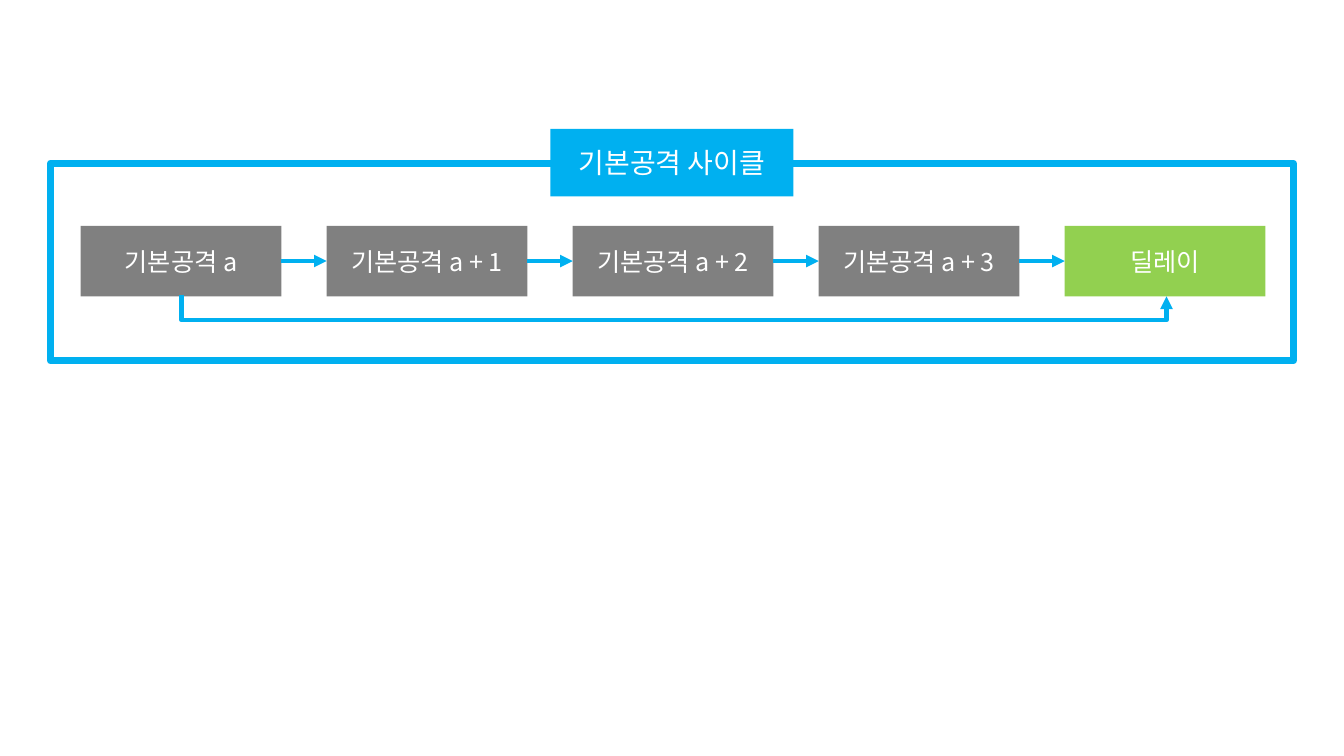
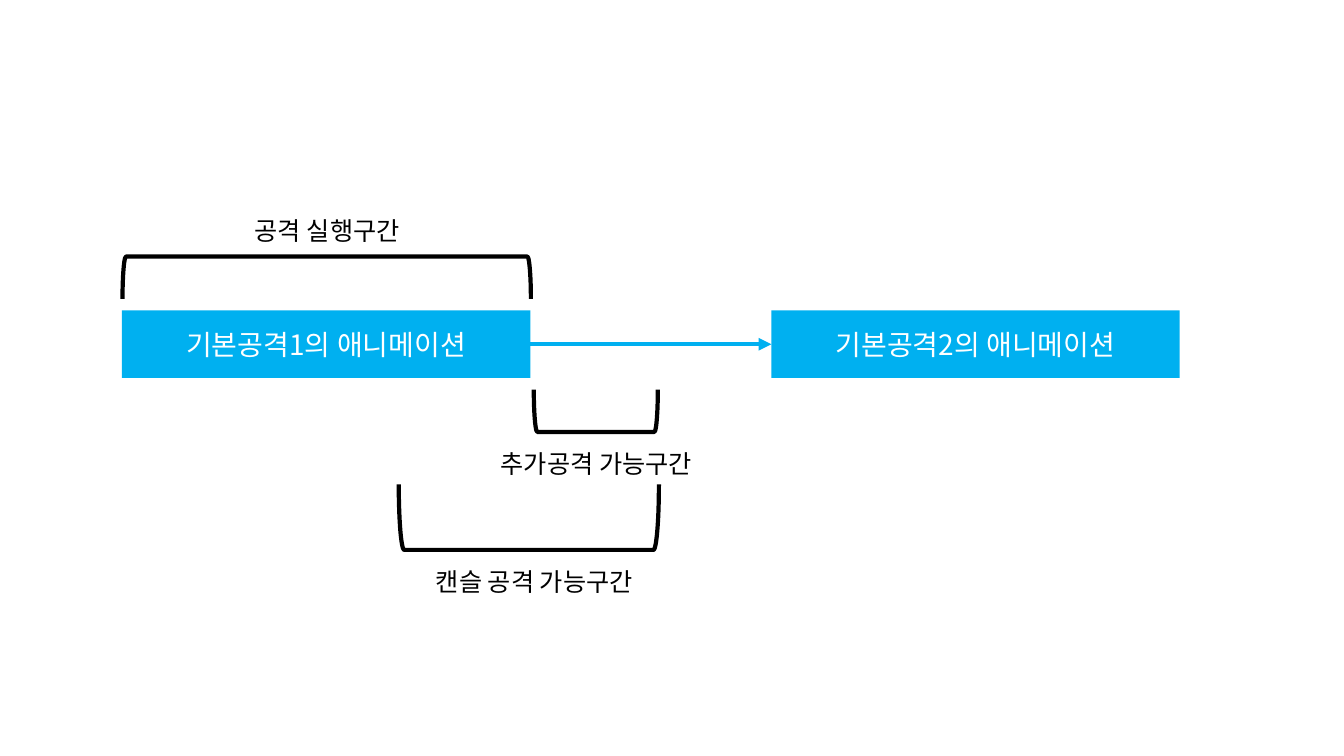
from lxml.etree import SubElement
from pptx import Presentation
from pptx.dml.color import RGBColor
from pptx.enum.shapes import MSO_CONNECTOR as CONNECTOR, MSO_SHAPE as SHAPE
from pptx.enum.text import MSO_ANCHOR as ANCHOR, MSO_AUTO_SIZE as AUTO_SIZE, PP_ALIGN as ALIGN
from pptx.oxml.ns import qn
from pptx.util import Inches, Pt

BLUE = RGBColor(0x00, 0xB0, 0xF0)
GRAY = RGBColor(0x80, 0x80, 0x80)
GREEN = RGBColor(0x92, 0xD0, 0x50)
BLACK = RGBColor(0x00, 0x00, 0x00)
WHITE = RGBColor(0xFF, 0xFF, 0xFF)
FONT = "Noto Sans CJK KR"


def add_item(slide, kind, box, fill=None, line=None, line_width=3, text="", size=18):
    lengths = [Inches(value) for value in box]
    if kind is None:
        shape = slide.shapes.add_textbox(*lengths)
        shape.text_frame.word_wrap = False
        shape.text_frame.auto_size = AUTO_SIZE.SHAPE_TO_FIT_TEXT
    else:
        shape = slide.shapes.add_shape(kind, *lengths)
        shape.shadow.inherit = False
        shape.text_frame.vertical_anchor = ANCHOR.MIDDLE
        if fill is None:
            shape.fill.background()
        else:
            shape.fill.solid()
            shape.fill.fore_color.rgb = fill
        if line is None:
            shape.line.fill.background()
        else:
            shape.line.color.rgb = line
            shape.line.width = Pt(line_width)
    if text:
        paragraph = shape.text_frame.paragraphs[0]
        paragraph.alignment = ALIGN.CENTER
        run = paragraph.add_run()
        run.text = text
        run.font.size = Pt(size)
        run.font.color.rgb = BLACK if kind is None else WHITE
        run.font.name = FONT
        SubElement(run.font._element, qn("a:ea"), typeface=FONT)
    return shape


def add_arrow(slide, kind, start, start_site, end, end_site):
    arrow = slide.shapes.add_connector(kind, 0, 0, 0, 0)
    arrow.begin_connect(start, start_site)
    arrow.end_connect(end, end_site)
    arrow.line.color.rgb = BLUE
    arrow.line.width = Pt(3)
    SubElement(arrow.line._get_or_add_ln(), qn("a:tailEnd"), type="triangle")
    SubElement(arrow._element.spPr, qn("a:effectLst"))
    return arrow


presentation = Presentation()
presentation.slide_width = Inches(13.33)
presentation.slide_height = Inches(7.5)
blank = presentation.slide_layouts[6]

cycle = presentation.slides.add_slide(blank)
add_item(cycle, SHAPE.RECTANGLE, (0.5, 1.62, 12.33, 1.96), line=BLUE, line_width=5)
add_item(cycle, SHAPE.RECTANGLE, (5.46, 1.28, 2.41, 0.67), fill=BLUE,
         text="기본공격 사이클", size=20)

steps = []
for index, text in enumerate(("기본공격 a", "기본공격 a + 1", "기본공격 a + 2",
                              "기본공격 a + 3", "딜레이")):
    fill = GREEN if text == "딜레이" else GRAY
    box = (0.8 + index * 2.44, 2.24, 1.99, 0.7)
    steps.append(add_item(cycle, SHAPE.RECTANGLE, box, fill=fill, text=text))
for start, end in zip(steps, steps[1:]):
    add_arrow(cycle, CONNECTOR.STRAIGHT, start, 3, end, 1)

loop = add_arrow(cycle, CONNECTOR.ELBOW, steps[-1], 2, steps[0], 2)
loop.left, loop.top = Inches(6.68), Inches(-1.95)
loop.width, loop.height = Inches(0.01), Inches(9.77)
transform = loop._element.spPr.find(qn("a:xfrm"))
transform.attrib.pop("flipH", None)
transform.set("rot", str(90 * 60000))
adjustments = loop._element.spPr.find(qn("a:prstGeom")).find(qn("a:avLst"))
SubElement(adjustments, qn("a:gd"), name="adj1", fmla="val 2500000")

timing = presentation.slides.add_slide(blank)
first, second = [
    add_item(timing, SHAPE.RECTANGLE, (left, 3.08, 4.05, 0.67), fill=BLUE, text=text, size=20)
    for left, text in ((1.21, "기본공격1의 애니메이션"), (7.65, "기본공격2의 애니메이션"))
]
add_arrow(timing, CONNECTOR.STRAIGHT, first, 3, second, 1)

for bracket_box, rotation, label_box, text in (
    ((3.03, 0.73, 0.42, 4.05), 90, (2.34, 2.09, 1.81, 0.4), "공격 실행구간"),
    ((5.7, 3.46, 0.42, 1.23), 270, (4.76, 4.4, 2.31, 0.4), "추가공격 가능구간"),
    ((4.92, 3.84, 0.65, 2.58), 270, (4.1, 5.57, 2.4, 0.4), "캔슬 공격 가능구간"),
):
    bracket = add_item(timing, SHAPE.LEFT_BRACKET, bracket_box, line=BLACK)
    bracket.rotation = rotation
    add_item(timing, None, label_box, text=text)

presentation.save("out.pptx")
